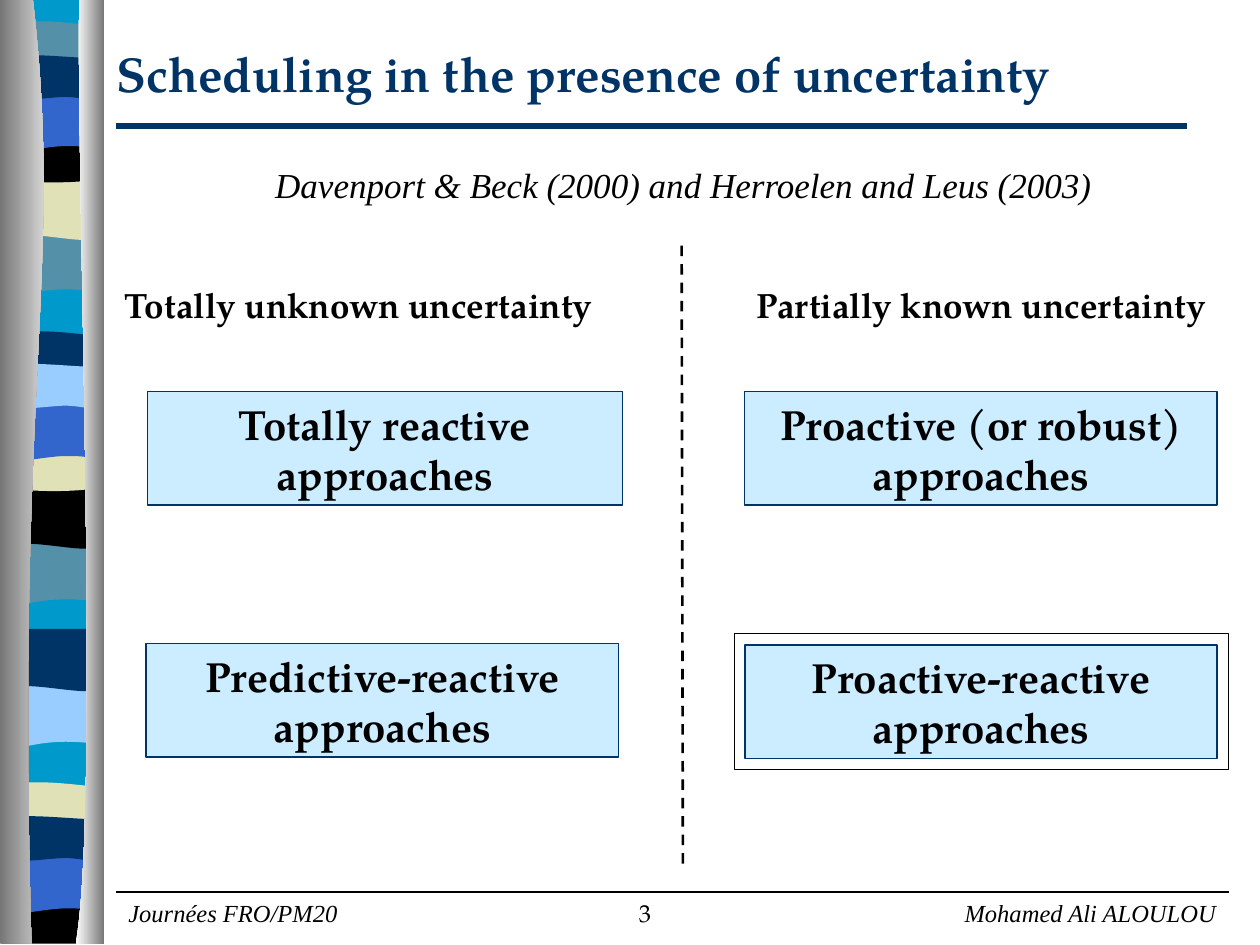
from dataclasses import dataclass

from lxml import etree
from pptx import Presentation, util as u
from pptx.dml.color import RGBColor
from pptx.enum import dml, shapes, text
from pptx.oxml import ns


@dataclass(frozen=True)
class Theme:
    navy: str = "003366"
    teal: str = "5490A8"
    cyan: str = "0099CC"
    blue: str = "3366CC"
    sky: str = "99CCFF"
    sand: str = "E1E1B7"
    pale: str = "CCECFF"
    black: str = "000000"
    white: str = "FFFFFF"
    grey: str = "767676"
    serif: str = "TeX Gyre Pagella"
    roman: str = "Times New Roman"
    title: int = 28
    box: int = 24
    head: int = 20
    foot: int = 14
    hair: float = 0.74


T = Theme()
ALIGN = {"l": text.PP_ALIGN.LEFT, "c": text.PP_ALIGN.CENTER, "r": text.PP_ALIGN.RIGHT}


def rgb(value):
    return RGBColor.from_string(value)


def write(sp, words, size=T.head, font=T.serif, color=T.black, bold=False,
          italic=False, align="l", middle=False, wrap=True):
    tf = sp.text_frame
    tf.word_wrap = wrap
    tf.vertical_anchor = text.MSO_ANCHOR.MIDDLE if middle else text.MSO_ANCHOR.TOP
    p = tf.paragraphs[0]
    p.alignment = ALIGN[align]
    r = p.add_run()
    r.text = words
    f = r.font
    f.name, f.size, f.bold, f.italic = font, u.Pt(size), bold, italic
    f.color.rgb = rgb(color)


def bend(sp, segments):
    """Merge each run of three line points that belongs to a cubic curve."""
    lines = iter(list(sp._element.iter(ns.qn("a:lnTo"))))
    for seg in segments:
        line = next(lines)
        if len(seg) == 6:
            line.tag = ns.qn("a:cubicBezTo")
            for extra in (next(lines), next(lines)):
                line.append(extra[0])
                extra.getparent().remove(extra)


class Deck:
    def __init__(self, theme):
        self.theme = theme
        self.prs = Presentation()
        self.prs.slide_width, self.prs.slide_height = u.Inches(10), u.Inches(7.5)
        self.s = self.prs.slides.add_slide(self.prs.slide_layouts[6])

    def label(self, at, words, **fmt):
        write(self.s.shapes.add_textbox(*map(u.Inches, at)), words, **fmt)

    def box(self, at, words=None, fill=None, line=T.navy, width=T.hair):
        sp = self.s.shapes.add_shape(shapes.MSO_SHAPE.RECTANGLE, *map(u.Inches, at))
        sp.shadow.inherit = False
        if fill:
            sp.fill.solid()
            sp.fill.fore_color.rgb = rgb(fill)
        else:
            sp.fill.background()
        sp.line.color.rgb = rgb(line)
        sp.line.width = u.Pt(width)
        if words:
            write(sp, words, size=self.theme.box, bold=True, align="c")

    def rule(self, start, end, color, width, dash=None):
        cx = self.s.shapes.add_connector(shapes.MSO_CONNECTOR.STRAIGHT,
                                         *map(u.Inches, start + end))
        cx.line.color.rgb = rgb(color)
        cx.line.width = u.Pt(width)
        if dash:
            cx.line.dash_style = dash
        etree.SubElement(cx._element.spPr, ns.qn("a:effectLst"))

    def outline(self, segments, left, top, *colors):
        """Draw points (2 numbers) and cubic curves (6 numbers) as one shape."""
        pts = [(u.Inches(left + x), u.Inches(top + y))
               for seg in segments for x, y in zip(seg[::2], seg[1::2])]
        fb = self.s.shapes.build_freeform(*pts[0], scale=1.0)
        fb.add_line_segments(pts[1:], close=True)
        sp = fb.convert_to_shape()
        bend(sp, segments[1:])
        sp.shadow.inherit = False
        sp.line.fill.background()
        if len(colors) == 1:
            sp.fill.solid()
            sp.fill.fore_color.rgb = rgb(colors[0])
        else:
            sp.fill.gradient()
            sp.fill.gradient_angle = 0
            for stop, color in zip(sp.fill.gradient_stops, colors):
                stop.color.rgb = rgb(color)


deck = Deck(T)

# Ribbon bands: a few outlines, repeated down the left edge
W = 0.77
FULL = [(W, 0), (W, 7.48), (0, 7.48), (0, 0)]
DIP = [(W, 0), (W, 0.47), (0.24, 0.39, 0.13, 0.55, 0, 0.47), (0, 0)]
SWELL = [(W, 0), (W, 0.47), (0.65, 0.55, 0.24, 0.41, 0, 0.47), (0, 0)]
LENS = [(W, 0.05), (W, 0.29), (0.65, 0.34, 0.13, 0.34, 0, 0.29), (0, 0.05),
        (0.05, 0, 0.17, 0.01, 0.3, 0.01), (0.43, 0.01, 0.68, 0.04, W, 0.05)]
SAG = [(W, 0), (W, 0.33), (0.65, 0.38, 0.13, 0.38, 0, 0.33), (0, 0),
       (0.48, 0.05, 0.61, 0, W, 0)]
ARCH = [(W, 0), (W, 0.47), (0.66, 0.42, 0.61, 0.42, 0.48, 0.42),
        (0.35, 0.42, 0.12, 0.47, 0, 0.47), (0, 0)]
RIPPLE = [(0.78, 0.05), (0.78, 0.36), (0.73, 0.41, 0.61, 0.36, 0.48, 0.36),
          (0.35, 0.36, 0.08, 0.41, 0, 0.36), (0, 0.05),
          (0.11, 0, 0.53, 0.05, 0.66, 0.05)]
FOOT = [(W, 0), (W, 0.37), (0, 0.37), (0, 0), (0.48, 0.05, 0.61, 0, W, 0)]

BANDS = [
    (FULL, -0.01, T.cyan),
    (DIP, 1.85, T.teal), (SWELL, 1.41, T.sand), (LENS, 0.16, T.teal),
    (SAG, 1.08, T.black), (ARCH, 0.74, T.blue), (RIPPLE, 0.41, T.navy),
    (DIP, 4.31, T.teal), (SWELL, 3.86, T.black), (LENS, 2.62, T.navy),
    (SAG, 3.53, T.sand), (ARCH, 3.2, T.blue), (RIPPLE, 2.86, T.sky),
    (DIP, 5.44, T.sky), (SWELL, 4.99, T.navy), (LENS, 6.2, T.sand),
    (FOOT, 7.12, T.black), (ARCH, 6.79, T.blue), (RIPPLE, 6.45, T.navy),
]
for band, top, color in BANDS:
    deck.outline(band, 0.04, top, color)

# Shaded pillars on both sides of the ribbon
deck.outline([(0.26, 0), (0.51, 2.17, 0.12, 2.97, 0.25, 7.5), (0, 7.5), (0, 0)],
             0, -0.01, T.grey, T.white)
deck.outline([(0.63, 0), (0.6, 1.26, 0.8, 6.47, 0.6, 7.5), (0.83, 7.5), (0.83, 0)],
             0, -0.01, T.white, T.grey)

# Title and footer
deck.rule((0.92, 1), (9.42, 1), T.navy, 3)
deck.label((0.83, 0.08, 8.95, 1), "Scheduling in the presence of uncertainty",
           size=T.title, color=T.navy, bold=True, middle=True)
deck.label((0.92, 7.08, 2.08, 0.34), "Journées FRO/PM20",
           size=T.foot, font=T.roman, italic=True)
deck.label((4.08, 7.08, 2.08, 0.37), "3", size=T.foot, align="c")
deck.label((7.5, 7.08, 2.25, 0.34), "Mohamed Ali ALOULOU",
           size=T.foot, font=T.roman, italic=True, align="r")
deck.rule((0.92, 7.08), (9.75, 7.08), T.black, T.hair)

# Approaches
deck.box((1.17, 3.11, 3.77, 0.9), "Totally reactive approaches", T.pale)
deck.box((1.16, 5.11, 3.75, 0.9), "Predictive-reactive approaches", T.pale)
deck.box((5.91, 3.11, 3.75, 0.9), "Proactive (or robust) approaches", T.pale)
deck.box((5.91, 5.12, 3.75, 0.9), "Proactive-reactive approaches", T.pale, width=0.99)

# Divider, column headings and citation
deck.rule((5.41, 1.95), (5.42, 6.86), T.black, 1.5, dml.MSO_LINE.DASH)
deck.label((0.89, 2.2, 4.32, 0.44), "Totally unknown uncertainty", bold=True, wrap=False)
deck.label((5.83, 2.2, 3.92, 0.77), "Partially known uncertainty", bold=True, align="c")
deck.label((2.08, 1.25, 6.69, 0.44),
           "Davenport & Beck (2000) and Herroelen and Leus (2003)",
           font=T.roman, italic=True, align="c", wrap=False)

# Frame around the chosen approach
deck.box((5.83, 5.03, 3.92, 1.08), line=T.black)

deck.prs.save("out.pptx")
